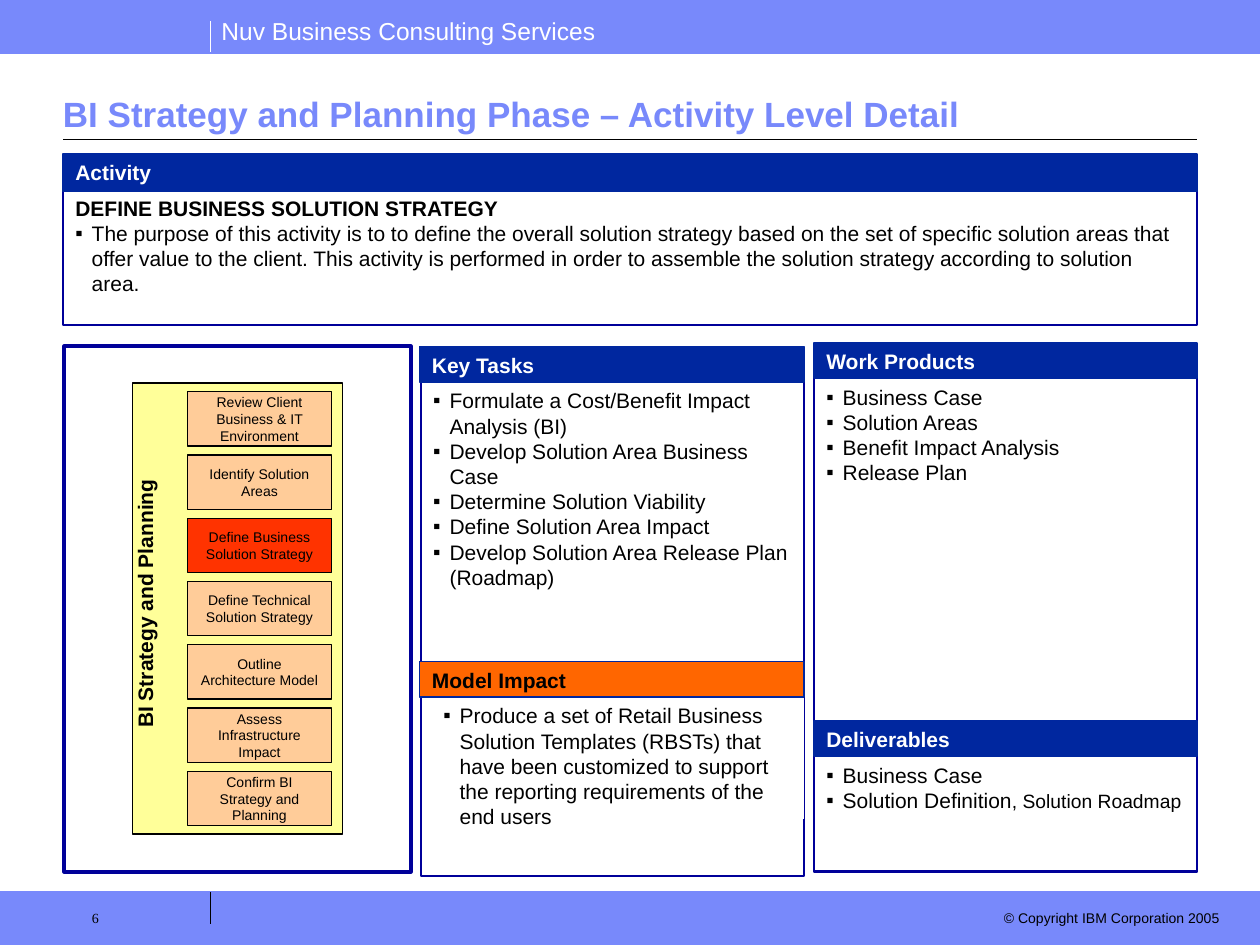
from lxml.etree import SubElement
from pptx import Presentation
from pptx.dml.color import RGBColor
from pptx.enum.shapes import MSO_CONNECTOR, MSO_SHAPE
from pptx.enum.text import MSO_ANCHOR, PP_ALIGN
from pptx.oxml.ns import qn
from pptx.util import Inches, Pt

COLORS = {
    "periwinkle": "7889FB", "heading": "00279F", "frame": "000099",
    "white": "FFFFFF", "black": "000000", "orange": "FF6600",
    "band": "FFFF99", "step": "FFCC99", "current": "FF3300",
}

deck = Presentation()
deck.slide_width, deck.slide_height = Inches(10), Inches(7.5)
slide = deck.slides.add_slide(deck.slide_layouts[6])

# Grid of 100 columns by 75 rows
COL = deck.slide_width / 100
ROW = deck.slide_height / 75


def add_box(left, top, width, height, fill=None, line=None, weight=1):
    """Add a rectangle measured in grid columns and rows, with text at top left."""
    box = slide.shapes.add_shape(
        MSO_SHAPE.RECTANGLE, int(left * COL), int(top * ROW),
        int(width * COL), int(height * ROW))
    box.shadow.inherit = False
    if fill:
        box.fill.solid()
        box.fill.fore_color.rgb = RGBColor.from_string(COLORS[fill])
    else:
        box.fill.background()
    if line:
        box.line.color.rgb = RGBColor.from_string(COLORS[line])
        box.line.width = Pt(weight)
    else:
        box.line.fill.background()
    box.text_frame.word_wrap = True
    box.text_frame.vertical_anchor = MSO_ANCHOR.TOP
    return box


def write(box, lines, size=12, color="black", bold=False, align=PP_ALIGN.LEFT,
          font="Arial", bulleted=False):
    """Fill a box with one paragraph per line."""
    box.text_frame.text = "\n".join(lines)
    for paragraph in box.text_frame.paragraphs:
        paragraph.alignment = align
        if bulleted:
            properties = paragraph._p.get_or_add_pPr()
            properties.set("marL", str(Inches(0.13)))
            properties.set("indent", str(-Inches(0.13)))
            SubElement(properties, qn("a:buFont"), typeface="Arial")
            SubElement(properties, qn("a:buChar"), char="▪")
        for run in paragraph.runs:
            run.font.name = font
            run.font.size = Pt(size)
            run.font.bold = bold
            run.font.color.rgb = RGBColor.from_string(COLORS[color])


# Page frame: bands, rules, header and footer
BAND = 4.2
FOOTER = 75 - BAND
for band_top in (FOOTER, 0):
    add_box(0, band_top, 100, BAND, "periwinkle", "periwinkle", 0.75)

rules = [
    (16.7, 1.7, 16.7, BAND, "white", 0.75),
    (0, BAND, 100, BAND, "periwinkle", 0.5),
    (0, FOOTER, 100, FOOTER, "periwinkle", 0.5),
    (5, 11.1, 95, 11.1, "black", 0.75),
    (16.7, FOOTER, 16.7, 73.3, "black", 0.75),
]
for x1, y1, x2, y2, color, weight in rules:
    rule = slide.shapes.add_connector(
        MSO_CONNECTOR.STRAIGHT, int(x1 * COL), int(y1 * ROW),
        int(x2 * COL), int(y2 * ROW))
    rule.line.color.rgb = RGBColor.from_string(COLORS[color])
    rule.line.width = Pt(weight)
    SubElement(rule._element.spPr, qn("a:effectLst"))

write(add_box(16.6, 0.8, 36, 3.4), ["Nuv Business Consulting Services"], 14, "white")
write(add_box(78.3, 71.7, 19.5, 2.4), ["© Copyright IBM Corporation 2005"], 8,
      align=PP_ALIGN.RIGHT)

page_number = add_box(3.3, 71.5, 13.3, 3.5)
page_number.text_frame.margin_left = int(4 * COL)
page_number.text_frame.margin_top = int(0.7 * ROW)
write(page_number, ["6"], 8, font="Times New Roman")

title = add_box(5, 6.7, 90, 4.5)
title.text_frame.margin_left = title.text_frame.margin_right = 0
title.text_frame.vertical_anchor = MSO_ANCHOR.BOTTOM
write(title, ["BI Strategy and Planning Phase – Activity Level Detail"], 20,
      "periwinkle", bold=True)

# Activity summary
activity = add_box(5, 15, 90, 10.8, line="frame")
write(activity, [
    "DEFINE BUSINESS SOLUTION STRATEGY",
    "The purpose of this activity is to to define the overall solution strategy "
    "based on the set of specific solution areas that offer value to the client. "
    "This activity is performed in order to assemble the solution strategy "
    "according to solution area."], bulleted=True)
activity_name = activity.text_frame.paragraphs[0]
activity_name.runs[0].font.bold = True
name_properties = activity_name._p.pPr
for tag in ("a:buFont", "a:buChar"):
    name_properties.remove(name_properties.find(qn(tag)))
SubElement(name_properties, qn("a:buNone"))

# Bulleted panels: left, top, width, height, fill, line, lines
panels = [
    (33.4, 30.3, 30.4, 39.2, "white", "frame", [
        "Formulate a Cost/Benefit Impact Analysis (BI)",
        "Develop Solution Area Business Case",
        "Determine Solution Viability",
        "Define Solution Area Impact",
        "Develop Solution Area Release Plan (Roadmap)"]),
    (64.6, 30, 30.4, 39.1, None, "frame", [
        "Business Case", "Solution Areas", "Benefit Impact Analysis", "Release Plan"]),
    (34.2, 55.3, 29.6, 9.7, "white", None, [
        "Produce a set of Retail Business Solution Templates (RBSTs) that have been "
        "customized to support the reporting requirements of the end users"]),
    (64.6, 60, 30.4, 9.2, None, "frame", [
        "Business Case", "Solution Definition"]),
]
for *place, fill, line, lines in panels:
    panel = add_box(*place, fill, line)
    write(panel, lines, bulleted=True)

# The last panel, Deliverables, ends in a smaller run
roadmap = panel.text_frame.paragraphs[-1].add_run()
roadmap.text = ", Solution Roadmap"
roadmap.font.name = "Arial"
roadmap.font.size = Pt(11)
roadmap.font.color.rgb = RGBColor.from_string(COLORS["black"])

headings = [
    ("Activity", 5, 12.2, 90, 3, "heading", "white"),
    ("Key Tasks", 33.3, 27.5, 30.5, 2.8, "heading", "white"),
    ("Work Products", 64.6, 27.2, 30.4, 2.8, "heading", "white"),
    ("Model Impact", 33.3, 52.5, 30.5, 2.8, "orange", "black"),
    ("Deliverables", 64.6, 57.2, 30.4, 2.8, "heading", "white"),
]
for heading, *place, fill, color in headings:
    write(add_box(*place, fill, "heading"), [heading], color=color, bold=True)

# Phase overview with the current step highlighted
add_box(5.1, 27.5, 27.5, 41.7, line="frame", weight=2.25)
phase = add_box(10.5, 30.4, 16.7, 35.8, "band", "black", 0.75)
phase.text_frame._txBody.bodyPr.set("vert", "vert270")
phase.text_frame.margin_top = int(0.2 * ROW)
phase.text_frame.margin_left = phase.text_frame.margin_right = 0
write(phase, ["BI Strategy and Planning"], bold=True, align=PP_ALIGN.CENTER)

CURRENT_STEP = "Define Business Solution Strategy"
steps = [
    "Review Client Business & IT Environment", "Identify Solution Areas",
    CURRENT_STEP, "Define Technical Solution Strategy",
    "Outline Architecture Model", "Assess Infrastructure Impact",
    "Confirm BI Strategy and Planning",
]
STEP_PITCH = 5.02
for index, step in enumerate(steps):
    fill = "current" if step == CURRENT_STEP else "step"
    step_box = add_box(14.9, 31.1 + index * STEP_PITCH, 11.4, 4.3, fill, "black", 0.75)
    step_box.text_frame.vertical_anchor = MSO_ANCHOR.MIDDLE
    write(step_box, [step], 8, align=PP_ALIGN.CENTER)

deck.save("out.pptx")
